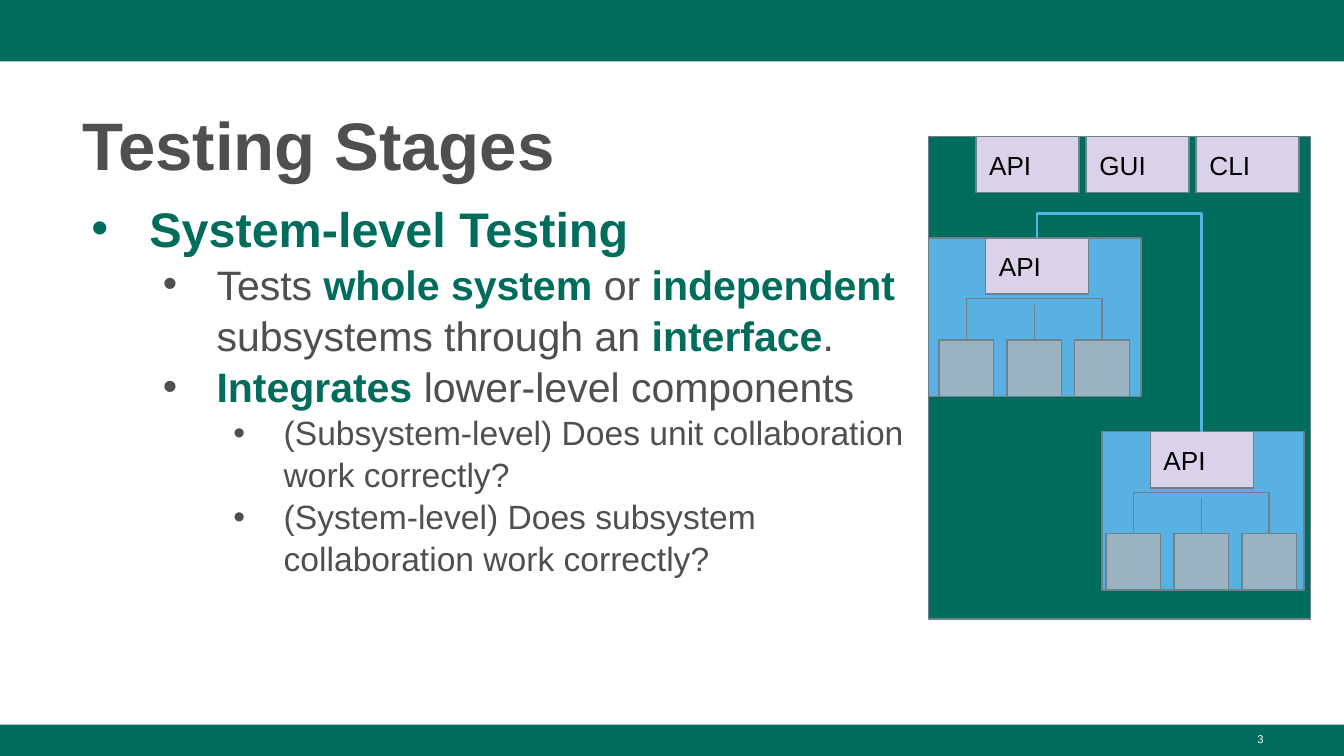
import pptx
import pptx.util
import pptx.dml.color
import pptx.enum.shapes
import pptx.enum.text
import pptx.oxml
import pptx.oxml.ns
from lxml import etree

Pt = pptx.util.Pt
GREEN, GREY, BLUE = "006C5C", "4F4F4F", "58B0E3"
LILAC, STEEL, OUTLINE = "D9D2E9", "99B3C2", "6F828C"
INTERFACE_W, INTERFACE_H = 55.2, 30.1
UNIT_W, UNIT_H, UNIT_STEP = 29.3, 30.1, 36.4

# Per outline level: text size, left margin, hanging indent
LEVELS = [(26, 36, -31), (22, 72, -28.8), (18, 108, -27)]
OUTLINE_TEXT = [
    (0, [("System-level Testing", True)]),
    (1, [("Tests ", False), ("whole system", True), (" or ", False),
         ("independent", True), (" subsystems through an ", False),
         ("interface", True), (".", False)]),
    (1, [("Integrates", True), (" lower-level components", False)]),
    (2, [("(Subsystem-level) Does unit collaboration work correctly?", False)]),
    (2, [("(System-level) Does subsystem collaboration work correctly?", False)]),
]


def rgb(color):
    return pptx.dml.color.RGBColor.from_string(color)


def add_run(paragraph, text, size, color, bold=False):
    run = paragraph.add_run()
    run.text = text
    run.font.name = "Arial"
    run.font.size = Pt(size)
    run.font.bold = bold
    run.font.color.rgb = rgb(color)


def add_text_frame(slide, left, top, width, height):
    frame = slide.shapes.add_textbox(Pt(left), Pt(top), Pt(width), Pt(height)).text_frame
    frame.word_wrap = True
    return frame


def add_box(slide, left, top, width, height, fill, outlined=True):
    box = slide.shapes.add_shape(pptx.enum.shapes.MSO_SHAPE.RECTANGLE,
                                 Pt(left), Pt(top), Pt(width), Pt(height))
    box.shadow.inherit = False
    box.fill.solid()
    box.fill.fore_color.rgb = rgb(fill)
    if outlined:
        box.line.color.rgb = rgb(OUTLINE)
        box.line.width = Pt(0.75)
    else:
        box.line.fill.background()
    return box


def add_interface(slide, left, top, label):
    frame = add_box(slide, left, top, INTERFACE_W, INTERFACE_H, LILAC).text_frame
    frame.margin_left = frame.margin_right = Pt(7.2)
    frame.margin_top = frame.margin_bottom = Pt(7.2)
    frame.vertical_anchor = pptx.enum.text.MSO_ANCHOR.MIDDLE
    paragraph = frame.paragraphs[0]
    paragraph.alignment = pptx.enum.text.PP_ALIGN.LEFT
    add_run(paragraph, label, 14, "000000")


def add_bracket(slide, start, end, bar_y, color, weight):
    """Open line that rises from start to bar_y, crosses, and drops to end."""
    points = [(start[0], bar_y), (end[0], bar_y), end]
    builder = slide.shapes.build_freeform(Pt(start[0]), Pt(start[1]))
    builder.add_line_segments([(Pt(x), Pt(y)) for x, y in points], close=False)
    bracket = builder.convert_to_shape()
    bracket.shadow.inherit = False
    bracket.fill.background()
    bracket.line.color.rgb = rgb(color)
    bracket.line.width = Pt(weight)


def add_stem(slide, unit, x, bottom, top):
    stem = slide.shapes.add_connector(pptx.enum.shapes.MSO_CONNECTOR.STRAIGHT,
                                      Pt(x), Pt(bottom), Pt(x), Pt(top))
    stem.begin_connect(unit, 0)
    stem.line.color.rgb = rgb(OUTLINE)
    stem.line.width = Pt(0.75)
    properties = stem._element.spPr
    etree.SubElement(properties, pptx.oxml.ns.qn("a:effectLst"))


def add_subsystem(slide, left, top, width, interface_left, units_left):
    """Draw a subsystem and return the top middle of its interface."""
    add_box(slide, left, top, width, 84.8, BLUE)
    add_interface(slide, interface_left, top, "API")
    unit_top = top + 84.8 - UNIT_H
    units = [add_box(slide, units_left + i * UNIT_STEP, unit_top, UNIT_W, UNIT_H, STEEL)
             for i in range(3)]
    first, middle, last = [units_left + UNIT_W / 2 + i * UNIT_STEP for i in range(3)]
    add_bracket(slide, (first, unit_top), (last, unit_top), unit_top - 22.5 + 0.2,
                OUTLINE, 0.75)
    add_stem(slide, units[1], middle, unit_top, unit_top - 19)
    return interface_left + INTERFACE_W / 2 - 15 + 15, top


def add_title(slide):
    paragraph = add_text_frame(slide, 36.9, 48.2, 647, 52.6).paragraphs[0]
    paragraph.line_spacing = 1.08
    add_run(paragraph, "Testing Stages", 36, GREY, True)


def add_bullet(paragraph, color, margin, indent):
    properties = paragraph._p.get_or_add_pPr()
    properties.set("marL", str(Pt(margin)))
    properties.set("indent", str(Pt(indent)))
    bullet_color = etree.SubElement(properties, pptx.oxml.ns.qn("a:buClr"))
    etree.SubElement(bullet_color, pptx.oxml.ns.qn("a:srgbClr"), val=color)
    etree.SubElement(properties, pptx.oxml.ns.qn("a:buFont"), typeface="Arial")
    etree.SubElement(properties, pptx.oxml.ns.qn("a:buChar"), char="•")


def add_outline(slide):
    frame = add_text_frame(slide, 36.9, 101.8, 454.3, 273.3)
    for i, (level, runs) in enumerate(OUTLINE_TEXT):
        paragraph = frame.add_paragraph() if i else frame.paragraphs[0]
        size, margin, indent = LEVELS[level]
        paragraph.level = level
        add_bullet(paragraph, GREY if level else GREEN, margin, indent)
        paragraph.line_spacing = 1.04
        for text, strong in runs:
            add_run(paragraph, text, size, GREEN if strong else GREY, strong)


def add_system(slide):
    add_box(slide, 497.5, 73.2, 204.5, 258.5, GREEN)
    for i, label in enumerate(["API", "GUI", "CLI"]):
        add_interface(slide, 522.8 + i * 59, 73.2, label)
    upper = add_subsystem(slide, 497.5, 127.5, 113.8, 528, 503)
    lower = add_subsystem(slide, 590.3, 231.3, 108.3, 616.2, 592.5)
    add_bracket(slide, upper, lower, 114.2, BLUE, 1.5)


def add_page_number(slide):
    paragraph = add_text_frame(slide, 516, 388.8, 168, 16.2).paragraphs[0]
    paragraph.alignment = pptx.enum.text.PP_ALIGN.RIGHT
    add_run(paragraph, "3", 6, "FFFFFF")


def main():
    presentation = pptx.Presentation()
    presentation.slide_width, presentation.slide_height = Pt(720), Pt(405)
    slide = presentation.slides.add_slide(presentation.slide_layouts[6])
    add_box(slide, 0, 0, 720, 33, GREEN, outlined=False)
    add_box(slide, 0, 388.2, 720, 16.8, GREEN, outlined=False)
    add_title(slide)
    add_outline(slide)
    add_page_number(slide)
    add_system(slide)
    presentation.save("out.pptx")


if __name__ == "__main__":
    main()
